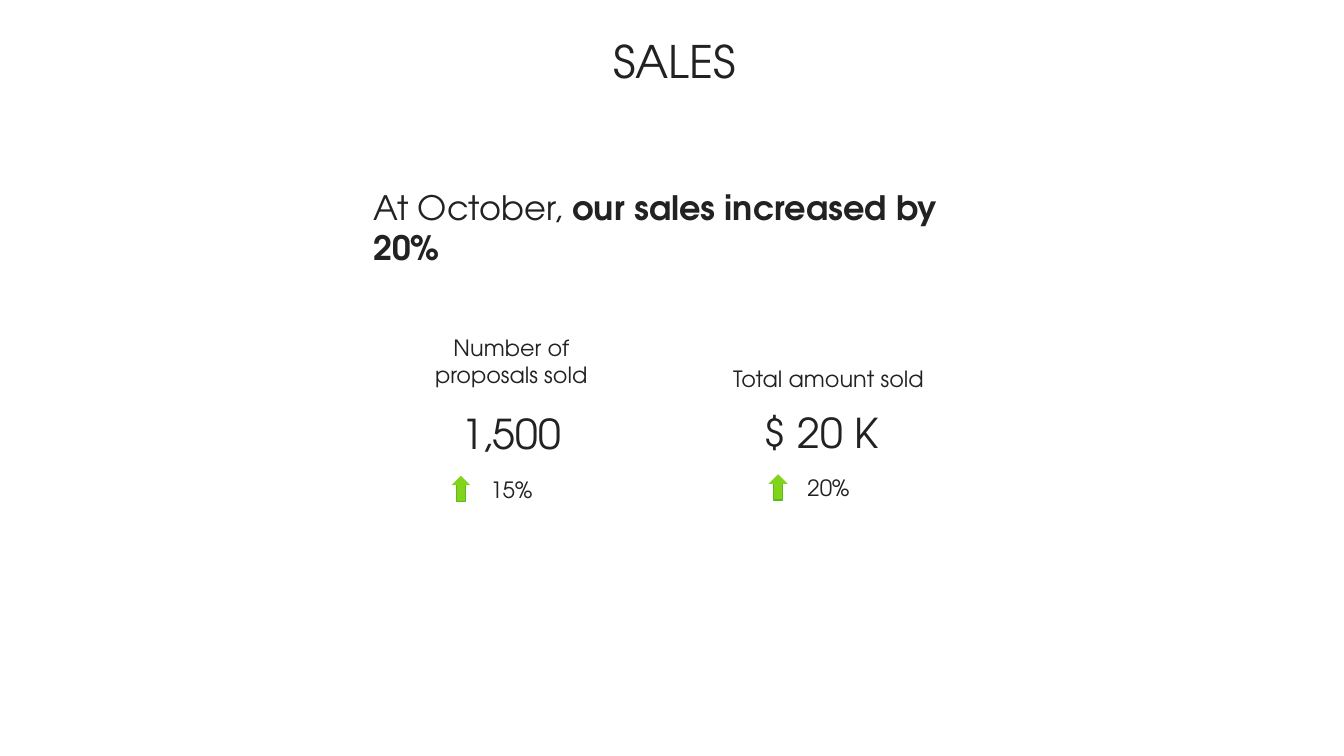
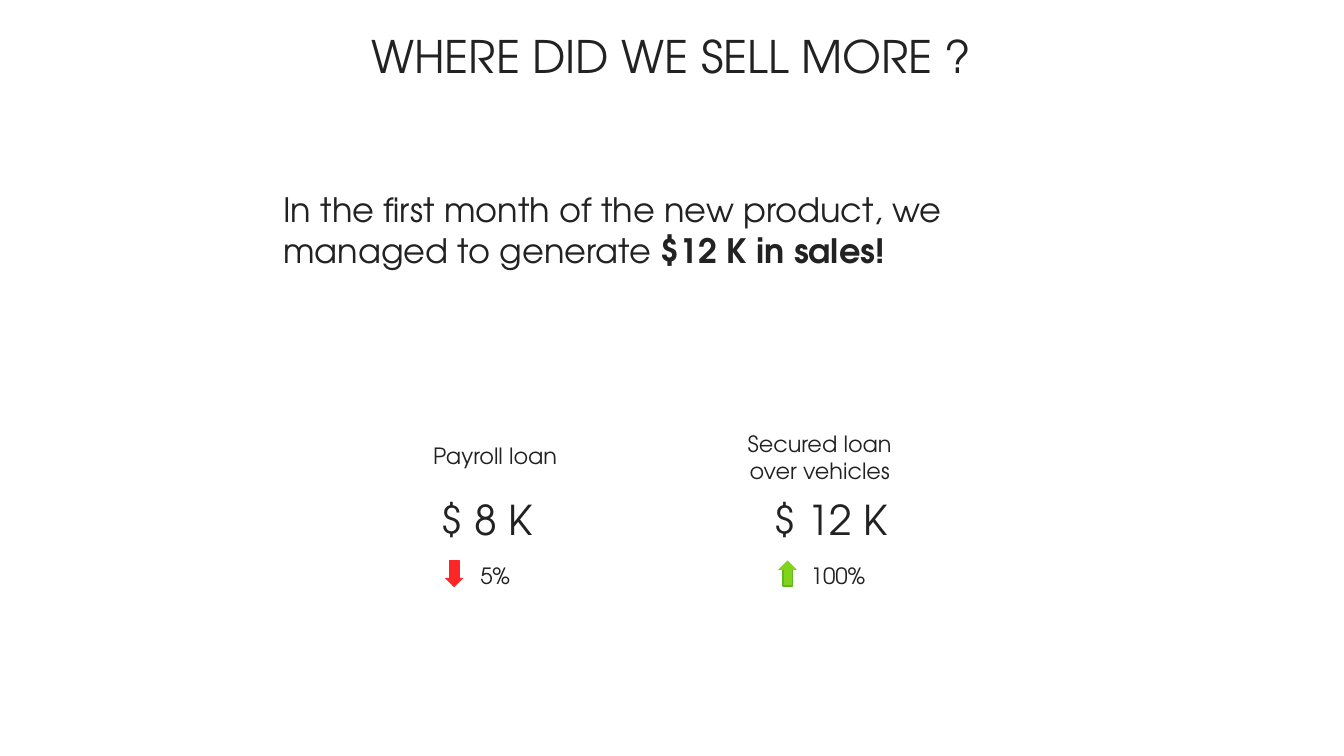
from dataclasses import dataclass

from pptx import Presentation
from pptx.dml.color import RGBColor
from pptx.enum.shapes import MSO_SHAPE as Shape
from pptx.enum.text import MSO_ANCHOR as Anchor, MSO_AUTO_SIZE as AutoSize, PP_ALIGN as Align
from pptx.slide import Slide
from pptx.util import Inches, Pt

FONT = "TeX Gyre Adventor"
INK = RGBColor(0x22, 0x22, 0x22)
GREEN = RGBColor(0x81, 0xD4, 0x1A)
GREEN_EDGE = RGBColor(0x5E, 0xB9, 0x1E)
RED = RGBColor(0xFC, 0x26, 0x26)

SLIDE_WIDTH = Inches(10)
SLIDE_HEIGHT = SLIDE_WIDTH * 9 // 16
TITLE_LAYOUT = 5
TITLE_HEIGHT = 0.55
VALUE_HEIGHT = 0.51
CHANGE_WIDTH, CHANGE_HEIGHT = 1.77, 0.32
CHANGE_OFFSET = 0.5
ARROW_WIDTH, HEAD_HEIGHT = 0.14, 0.07
STEM_WIDTH, STEM_HEIGHT = 0.07, 0.14


@dataclass(frozen=True)
class Box:
    """Position and size in inches."""
    left: float
    top: float
    width: float
    height: float


@dataclass(frozen=True)
class Metric:
    """A label, its value and its change since the last period."""
    label: str
    label_box: Box
    value: str
    value_left: float
    value_width: float
    top: float
    change: str
    change_left: float
    arrow_x: float
    arrow_top: float
    rising: bool = True
    label_anchor: Anchor = Anchor.TOP


@dataclass(frozen=True)
class SalesPage:
    """The content of one slide."""
    title: str
    title_left: float
    title_top: float
    title_width: float
    message: str
    highlight: str
    message_box: Box
    metrics: tuple[Metric, ...]


PAGES = (
    SalesPage(
        "SALES", 3.74, 0.2, 2.56,
        "At October, ", "our sales increased by 20%", Box(2.68, 1.34, 4.63, 1.1),
        (
            Metric("Number of proposals sold", Box(2.92, 2.44, 1.77, 0.55),
                   "1,500", 2.92, 1.77, 2.99, "15%", 2.92, 3.43, 3.54),
            Metric("Total amount sold", Box(5.28, 2.67, 1.77, 0.32),
                   "$ 20 K", 5.13, 1.96, 2.98, "20%", 5.28, 5.79, 3.53),
        ),
    ),
    SalesPage(
        "WHERE DID WE SELL MORE ?", 2.3, 0.16, 5.39,
        "In the first month of the new product, we managed to generate ",
        "$12 K in sales!", Box(2.01, 1.36, 6.17, 1.3),
        (
            Metric("Payroll loan", Box(2.8, 3.15, 1.77, 0.48),
                   "$ 8 K", 2.64, 1.96, 3.63, "5%", 2.8, 3.38, 4.17,
                   rising=False, label_anchor=Anchor.MIDDLE),
            Metric("Secured loan\nover vehicles", Box(5, 3.15, 2.2, 0.55),
                   "$ 12 K", 5.2, 1.96, 3.63, "100%", 5.35, 5.86, 4.17),
        ),
    ),
)


def write_text(shape, box: Box, text: str, *, size: float, highlight: str = "",
               align: Align = Align.CENTER, anchor: Anchor = Anchor.TOP) -> None:
    """Place a text shape and fill it, with an optional bold ending."""
    shape.left, shape.top = Inches(box.left), Inches(box.top)
    shape.width, shape.height = Inches(box.width), Inches(box.height)
    frame = shape.text_frame
    frame.word_wrap = True
    frame.auto_size = AutoSize.NONE
    frame.vertical_anchor = anchor
    frame.margin_left = frame.margin_right = Inches(0.1)
    frame.margin_top = frame.margin_bottom = Inches(0.05)
    frame.text = text
    if highlight:
        frame.paragraphs[-1].add_run().text = highlight
    for paragraph in frame.paragraphs:
        paragraph.alignment = align
        for run in paragraph.runs:
            run.font.name = FONT
            run.font.size = Pt(size)
            run.font.color.rgb = INK
            run.font.bold = bool(highlight) and run.text == highlight


def add_text(slide: Slide, box: Box, text: str, **text_format) -> None:
    """Add a formatted text box."""
    write_text(slide.shapes.add_textbox(0, 0, 0, 0), box, text, **text_format)


def add_arrow(slide: Slide, center: float, top: float, rising: bool) -> None:
    """Draw a grouped stem and head that point up or down."""
    fill, edge = (GREEN, GREEN_EDGE) if rising else (RED, RED)
    stem_top = top + HEAD_HEIGHT - 0.02 if rising else top
    base = top + HEAD_HEIGHT if rising else top + STEM_HEIGHT - 0.01
    tip = base - HEAD_HEIGHT if rising else base + HEAD_HEIGHT
    half = ARROW_WIDTH / 2
    arrow = slide.shapes.add_group_shape()
    stem = arrow.shapes.add_shape(
        Shape.RECTANGLE, Inches(center - STEM_WIDTH / 2), Inches(stem_top),
        Inches(STEM_WIDTH), Inches(STEM_HEIGHT))
    stem.line.color.rgb = edge
    stem.line.width = Pt(0)
    outline = arrow.shapes.build_freeform(Inches(center), Inches(tip))
    outline.add_line_segments(
        [(Inches(center + half), Inches(base)), (Inches(center - half), Inches(base))])
    head = outline.convert_to_shape()
    head.line.fill.background()
    for part in (stem, head):
        part.shadow.inherit = False
        part.fill.solid()
        part.fill.fore_color.rgb = fill


def add_metric(slide: Slide, metric: Metric) -> None:
    """Stack a metric's label, value and change."""
    add_text(slide, metric.label_box, metric.label, size=12, anchor=metric.label_anchor)
    add_text(slide, Box(metric.value_left, metric.top, metric.value_width, VALUE_HEIGHT),
             metric.value, size=22)
    add_text(slide, Box(metric.change_left, metric.top + CHANGE_OFFSET,
                        CHANGE_WIDTH, CHANGE_HEIGHT), metric.change, size=12)
    add_arrow(slide, metric.arrow_x, metric.arrow_top, metric.rising)


def add_page(deck, page: SalesPage) -> None:
    """Build one slide with its title, message and metrics."""
    slide = deck.slides.add_slide(deck.slide_layouts[TITLE_LAYOUT])
    write_text(slide.shapes.title,
               Box(page.title_left, page.title_top, page.title_width, TITLE_HEIGHT),
               page.title, size=24)
    add_text(slide, page.message_box, page.message, size=18,
             highlight=page.highlight, align=Align.LEFT)
    for metric in page.metrics:
        add_metric(slide, metric)


def main() -> None:
    """Build and save the deck."""
    deck = Presentation()
    deck.slide_width, deck.slide_height = SLIDE_WIDTH, SLIDE_HEIGHT
    for page in PAGES:
        add_page(deck, page)
    deck.save("out.pptx")


if __name__ == "__main__":
    main()
